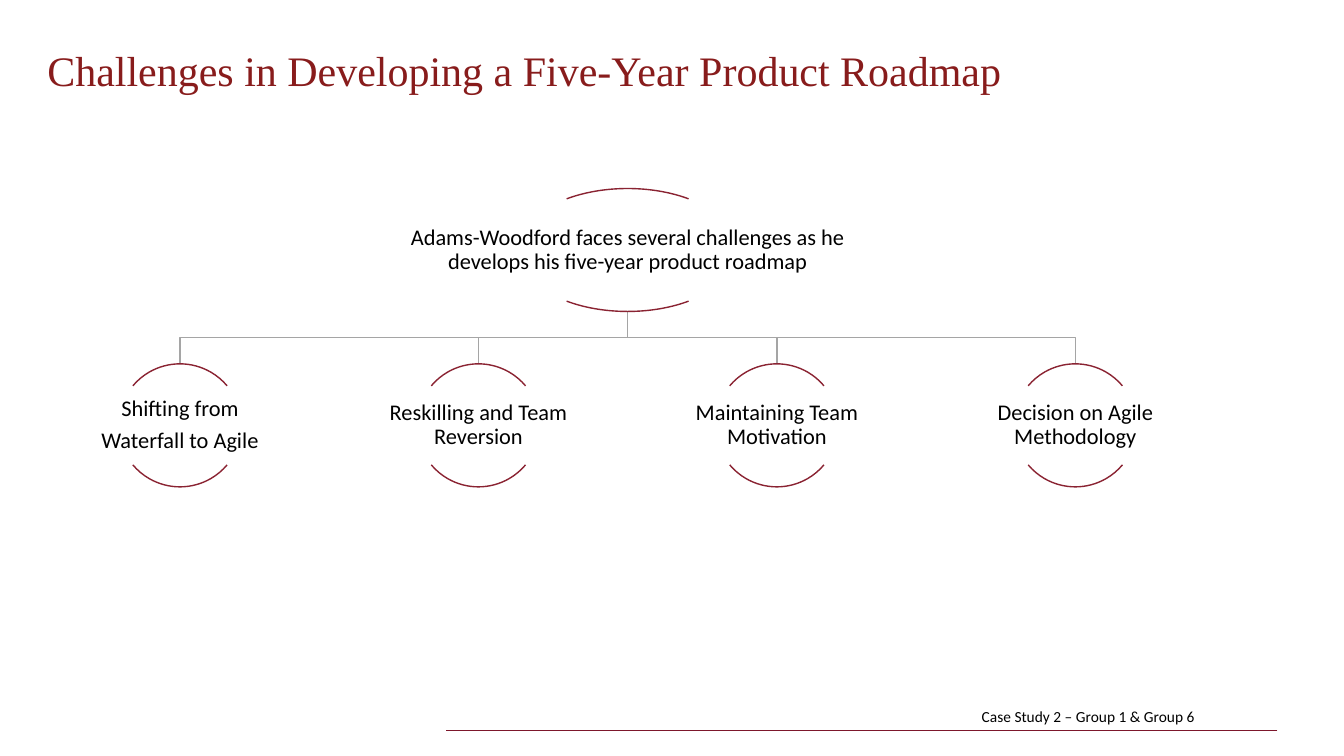
from pptx import Presentation
from pptx.dml.color import RGBColor
from pptx.enum.shapes import MSO_CONNECTOR, MSO_SHAPE
from pptx.enum.text import MSO_ANCHOR, MSO_AUTO_SIZE, PP_ALIGN
from pptx.oxml.ns import qn
from pptx.util import Inches, Pt
from lxml import etree

ARC, STRAIGHT = MSO_SHAPE.ARC, MSO_CONNECTOR.STRAIGHT
TOP, MIDDLE = MSO_ANCHOR.TOP, MSO_ANCHOR.MIDDLE
LEFT, CENTER, RIGHT = PP_ALIGN.LEFT, PP_ALIGN.CENTER, PP_ALIGN.RIGHT
NO_FIT = MSO_AUTO_SIZE.NONE

TITLE_RED = RGBColor(0x88, 0x1C, 0x1C)
ARC_RED = RGBColor(0x8A, 0x23, 0x32)
RULE_RED = RGBColor(0x7D, 0x17, 0x2C)
GRAY = RGBColor(0xA5, 0xA5, 0xA5)
BLACK = RGBColor(0, 0, 0)

NODE_H = 1.22
ARC_ANGLES = ((132, 192), (24, 84))  # top and bottom, in units of 100000
ROOT = "Adams-Woodford faces several challenges as he develops his five-year product roadmap"
CHALLENGES = (
    ("Shifting from", "Waterfall to Agile"),
    ("Reskilling and Team Reversion",),
    ("Maintaining Team Motivation",),
    ("Decision on Agile Methodology",),
)


def write(shape, lines, size, color, font, align, anchor=TOP, margin=None,
          spacing=1.0, after=0):
    tf = shape.text_frame
    frame = {"word_wrap": True, "auto_size": NO_FIT, "vertical_anchor": anchor}
    if margin is not None:
        for side in ("left", "right", "top", "bottom"):
            frame["margin_" + side] = Inches(margin)
    for name, value in frame.items():
        setattr(tf, name, value)
    for i, line in enumerate(lines):
        p = tf.paragraphs[0] if i == 0 else tf.add_paragraph()
        p.alignment, p.line_spacing, p.space_after = align, spacing, Pt(after)
        r = p.add_run()
        r.text = line
        for name, value in {"size": Pt(size), "name": font, "bold": False}.items():
            setattr(r.font, name, value)
        r.font.color.rgb = color


def add_title(s, x, y, w, h):
    title = s.shapes.title
    title.left, title.top, title.width, title.height = map(Inches, (x, y, w, h))
    write(title, ["Challenges in Developing a Five-Year Product Roadmap"],
          30, TITLE_RED, "Times New Roman", LEFT, spacing=0.9)


def add_footer(s, x, y, w, h):
    rule = s.shapes.add_connector(STRAIGHT, *map(Inches, (x + w, y + h, x, y + h)))
    rule.line.color.rgb, rule.line.width = RULE_RED, Pt(0.5)
    etree.SubElement(rule._element.spPr, qn("a:effectLst"))
    label = s.shapes.add_textbox(*map(Inches, (x + 4.26, y, 3.27, h)))
    write(label, ["Case Study 2 – Group 1 & Group 6"], 11, BLACK, "Calibri", RIGHT)


def add_node(s, cx, y, arc_w, text_w, lines):
    """Text between two arcs of an ellipse, centred on cx."""
    for angles in ARC_ANGLES:
        arc = s.shapes.add_shape(ARC, *map(Inches, (cx - arc_w / 2, y, arc_w, NODE_H)))
        arc.adjustments[0], arc.adjustments[1] = angles
        arc.fill.background()
        arc.line.color.rgb, arc.line.width = ARC_RED, Pt(1)
        arc.shadow.inherit = False
    label = s.shapes.add_textbox(
        *map(Inches, (cx - text_w / 2, y + 0.22, text_w, NODE_H - 0.44)))
    write(label, lines, 16, BLACK, "Calibri", CENTER, MIDDLE, 0.01, 0.9, 5.6)


def add_branch(s, x1, y1, x2, y2):
    """Elbow line that turns halfway down."""
    mid = (y1 + y2) / 2
    builder = s.shapes.build_freeform(Inches(x1), Inches(y1))
    builder.add_line_segments(
        [(Inches(x), Inches(y)) for x, y in ((x1, mid), (x2, mid), (x2, y2))],
        close=False)
    branch = builder.convert_to_shape()
    branch.fill.background()
    branch.line.color.rgb, branch.line.width = GRAY, Pt(1)
    branch.shadow.inherit = False


def add_hierarchy(s, x, y, w):
    text_w, level_gap = 2.45, 1.74
    root_x, child_y = x + w / 2, y + level_gap
    step = (w - text_w) / (len(CHALLENGES) - 1)
    centers = [x + text_w / 2 + i * step for i in range(len(CHALLENGES))]
    for cx in reversed(centers):
        add_branch(s, root_x, y + NODE_H, cx, child_y)
    add_node(s, root_x, y, 2.18, 4.37, [ROOT])
    for cx, lines in zip(centers, CHALLENGES):
        add_node(s, cx, child_y, NODE_H, text_w, lines)


def main():
    prs = Presentation()
    prs.slide_width, prs.slide_height = Inches(13.33), Inches(7.5)
    s = prs.slides.add_slide(prs.slide_layouts[5])
    add_footer(s, 4.42, 6.97, 8.25, 0.28)
    add_title(s, 0.37, 0.45, 10.18, 0.8)
    add_hierarchy(s, 0.56, 1.87, 11.33)
    prs.save("out.pptx")


if __name__ == "__main__":
    main()
